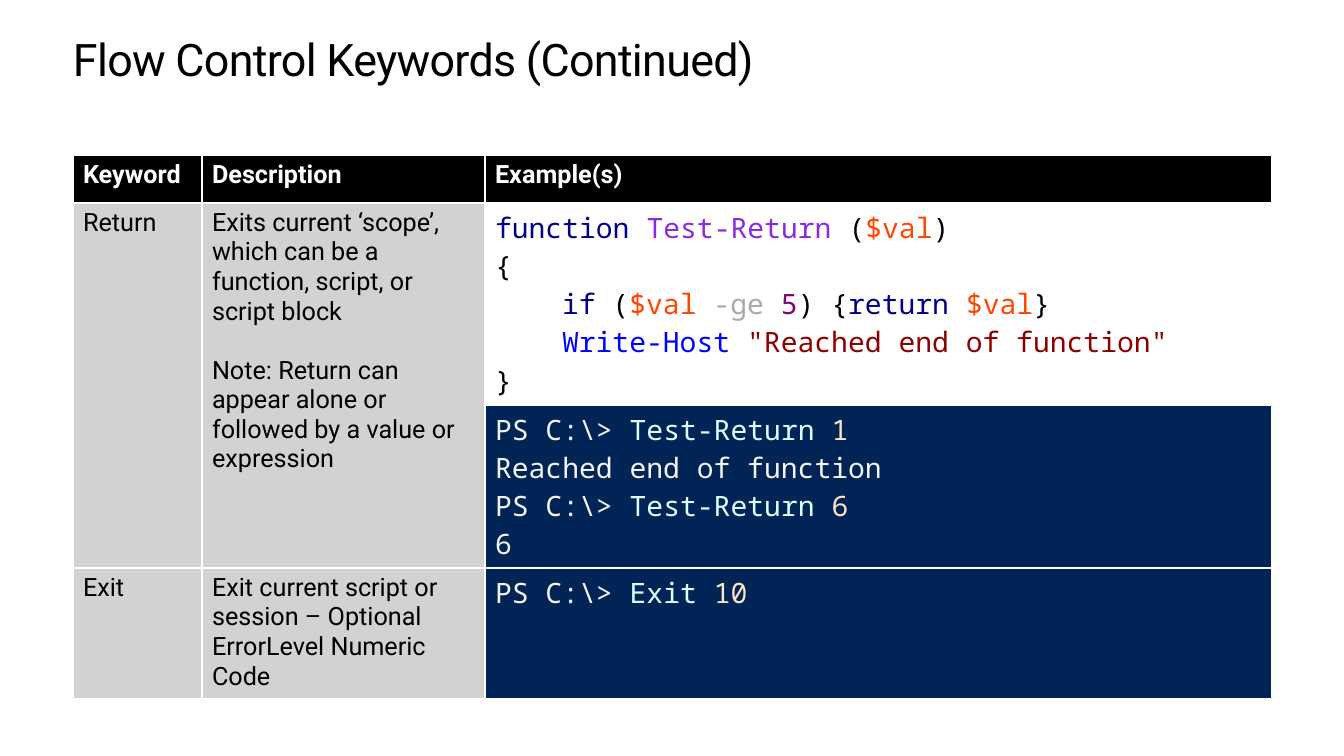
from dataclasses import dataclass

from lxml import etree
from pptx import Presentation
from pptx.dml.color import RGBColor
from pptx.oxml.ns import qn
from pptx.util import Emu, Pt

PX_PER_INCH = 100.8


@dataclass(frozen=True)
class Theme:
    sans: str = "Roboto"
    mono: str = "Noto Sans Mono"
    title_pt: int = 32
    body_pt: int = 18
    code_pt: int = 20
    black: str = "000000"
    white: str = "FFFFFF"
    gray: str = "D2D2D2"
    console: str = "012456"
    keyword: str = "00008B"
    function: str = "8A2BE2"
    variable: str = "FF4500"
    operator: str = "A9A9A9"
    number: str = "800080"
    command: str = "0000FF"
    string: str = "8B0000"
    prompt: str = "F5F5F5"
    typed: str = "E0FFFF"
    argument: str = "FFE4C4"


T = Theme()


@dataclass(frozen=True)
class Style:
    font: str
    size: int
    bold: bool = False


@dataclass(frozen=True)
class Span:
    text: str
    color: str


@dataclass(frozen=True)
class Para:
    spans: tuple[Span, ...]
    indent: int = 0    # px
    before: float = 0  # pt


@dataclass(frozen=True)
class CellSpec:
    row: int
    col: int
    paras: tuple[Para, ...]
    style: Style
    fill: str | None = None
    rows: int = 1


def px(n: int) -> Emu:
    return Emu(round(n * 914400 / PX_PER_INCH))


def line(*spans: tuple[str, str], indent: int = 0, before: float = 0) -> Para:
    return Para(tuple(Span(*s) for s in spans), indent, before)


def command(name: str, argument: str) -> Para:
    return line(("PS C:\\> ", T.prompt), (name + " ", T.typed), (argument, T.argument))


def write(tf, paras: tuple[Para, ...], style: Style) -> None:
    for i, para in enumerate(paras):
        p = tf.add_paragraph() if i else tf.paragraphs[0]
        if para.before:
            p.space_before = Pt(para.before)
        if para.indent:
            p._p.get_or_add_pPr().set("marL", str(px(para.indent)))
        for span in para.spans:
            r = p.add_run()
            r.text = span.text
            r.font.name = style.font
            r.font.size = Pt(style.size)
            r.font.bold = style.bold
            r.font.color.rgb = RGBColor.from_string(span.color)


def set_borders(cell) -> None:
    tc_pr = cell._tc.get_or_add_tcPr()
    for i, side in enumerate("LRTB"):
        ln = etree.Element(qn(f"a:ln{side}"), w=str(Pt(1)))
        fill = etree.SubElement(ln, qn("a:solidFill"))
        etree.SubElement(fill, qn("a:srgbClr"), val=T.white)
        tc_pr.insert(i, ln)


def set_fill(cell, color: str | None) -> None:
    if color is None:
        cell.fill.background()
    else:
        cell.fill.solid()
        cell.fill.fore_color.rgb = RGBColor.from_string(color)


def draw_cell(table, spec: CellSpec) -> None:
    cell = table.cell(spec.row, spec.col)
    if spec.rows > 1:
        cell.merge(table.cell(spec.row + spec.rows - 1, spec.col))
    write(cell.text_frame, spec.paras, spec.style)
    for row in range(spec.row, spec.row + spec.rows):
        part = table.cell(row, spec.col)
        set_fill(part, spec.fill)
        set_borders(part)


def draw_title(slide, text: str) -> None:
    tf = slide.shapes.add_textbox(px(73), px(35), px(1199), px(50)).text_frame
    tf.word_wrap = True
    tf.margin_left = tf.margin_right = tf.margin_top = tf.margin_bottom = 0
    write(tf, (line((text, T.black)),), Style(T.sans, T.title_pt))
    p = tf.paragraphs[0]
    p.line_spacing = Pt(36.2)
    p.runs[0].font._element.set("spc", "-50")


# Table content
HEAD = Style(T.sans, T.body_pt, bold=True)
BODY = Style(T.sans, T.body_pt)
CODE = Style(T.mono, T.code_pt)
CODE_INDENT = 67
BLANK_LINE = 21.1
COLUMNS = (129, 283, 787)
ROWS = (48, 202, 163, 131)

RETURN_TEXT = (
    line(("Exits current ‘scope’, which can be a function, script, or script block", T.black)),
    line(("Note: Return can appear alone or followed by a value or expression", T.black),
         before=BLANK_LINE),
)
RETURN_CODE = (
    line(("function ", T.keyword), ("Test-Return", T.function), (" (", T.black),
         ("$val", T.variable), (")", T.black)),
    line(("{", T.black)),
    line(("if", T.keyword), (" (", T.black), ("$val ", T.variable), ("-ge ", T.operator),
         ("5", T.number), (") {", T.black), ("return ", T.keyword), ("$val", T.variable),
         ("}", T.black), indent=CODE_INDENT),
    line(("Write-Host ", T.command), ('"Reached end of function"', T.string),
         indent=CODE_INDENT),
    line(("}", T.black)),
)
RETURN_OUTPUT = (
    command("Test-Return", "1"),
    line(("Reached end of function", T.prompt)),
    command("Test-Return", "6"),
    line(("6", T.prompt)),
)
EXIT_TEXT = "Exit current script or session – Optional ErrorLevel Numeric Code"

CELLS = (
    *(CellSpec(0, col, (line((name, T.white)),), HEAD, T.black)
      for col, name in enumerate(("Keyword", "Description", "Example(s)"))),
    CellSpec(1, 0, (line(("Return", T.black)),), BODY, T.gray, rows=2),
    CellSpec(1, 1, RETURN_TEXT, BODY, T.gray, rows=2),
    CellSpec(1, 2, RETURN_CODE, CODE),
    CellSpec(2, 2, RETURN_OUTPUT, CODE, T.console),
    CellSpec(3, 0, (line(("Exit", T.black)),), BODY, T.gray),
    CellSpec(3, 1, (line((EXIT_TEXT, T.black)),), BODY, T.gray),
    CellSpec(3, 2, (command("Exit", "10"),), CODE, T.console),
)


def draw_table(slide) -> None:
    table = slide.shapes.add_table(len(ROWS), len(COLUMNS), px(73), px(155),
                                   px(sum(COLUMNS)), px(sum(ROWS))).table
    table.first_row = table.horz_banding = False
    for column, width in zip(table.columns, COLUMNS):
        column.width = px(width)
    for row, height in zip(table.rows, ROWS):
        row.height = px(height)
    for spec in CELLS:
        draw_cell(table, spec)


def main() -> None:
    prs = Presentation()
    prs.slide_width, prs.slide_height = px(1344), px(756)
    slide = prs.slides.add_slide(prs.slide_layouts[6])
    draw_title(slide, "Flow Control Keywords (Continued)")
    draw_table(slide)
    prs.save("out.pptx")


if __name__ == "__main__":
    main()
